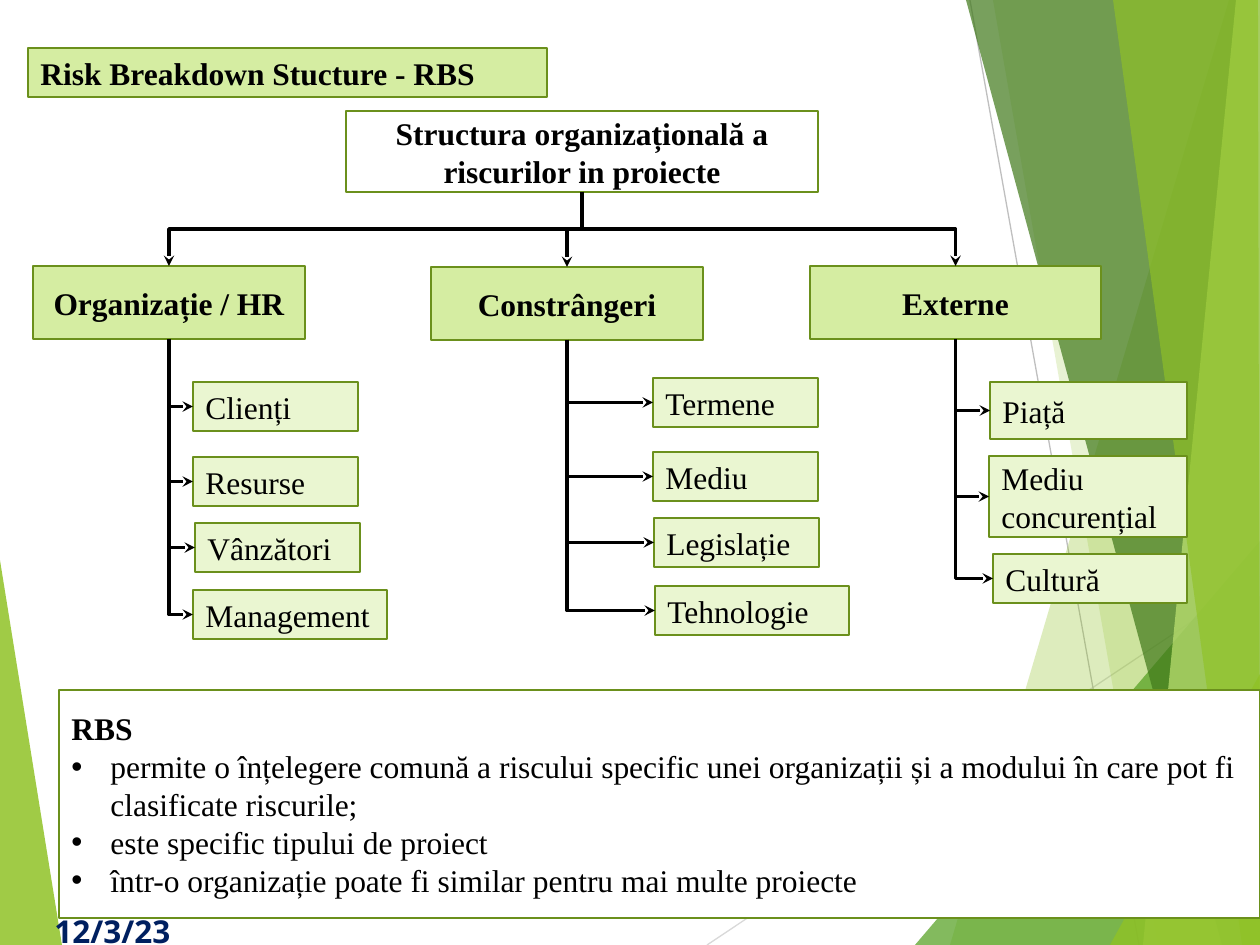
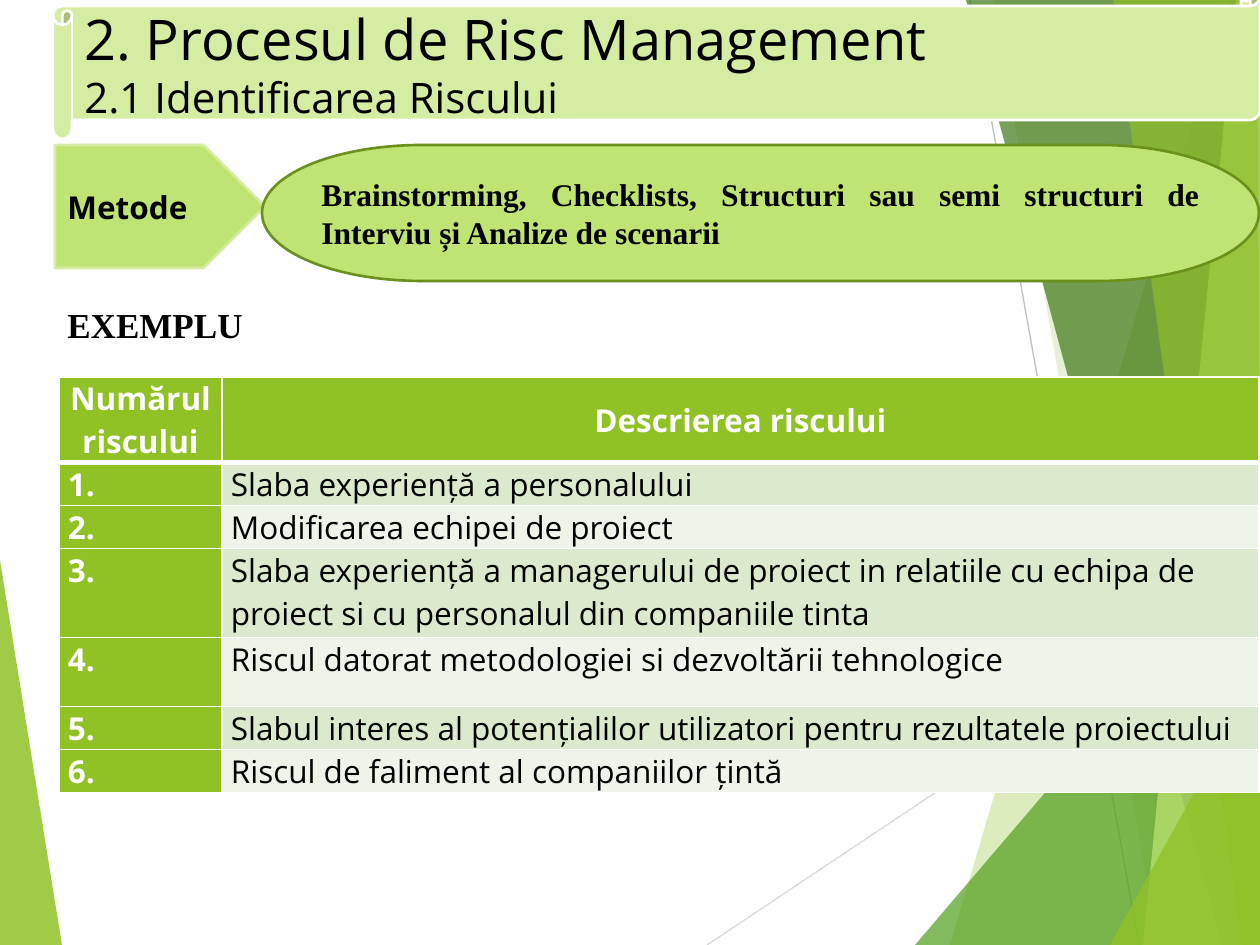
from lxml import etree
from pptx import Presentation
from pptx import util as u
from pptx.dml.color import RGBColor
from pptx.enum import shapes, text
from pptx.oxml import ns

PX = 914400 / 126
SERIF, SANS = "Times New Roman", "Open Sans"
BLACK = RGBColor(0x00, 0x00, 0x00)
WHITE = RGBColor(0xFF, 0xFF, 0xFF)
NAVY = RGBColor(0x00, 0x20, 0x60)
GREEN = RGBColor(0x90, 0xC2, 0x26)
LEAF = RGBColor(0x54, 0xA0, 0x21)
FOREST = RGBColor(0x3F, 0x78, 0x19)
OLIVE = RGBColor(0x6B, 0x90, 0x1C)
LIME = RGBColor(0xC0, 0xE4, 0x74)
PALE = RGBColor(0xD5, 0xED, 0xA2)
MIST = RGBColor(0xEA, 0xF6, 0xD1)
ROW_DARK = RGBColor(0xDB, 0xE9, 0xCD)
ROW_LIGHT = RGBColor(0xEE, 0xF4, 0xE8)
SILVER = RGBColor(0xD9, 0xD9, 0xD9)
GRAY = RGBColor(0xBF, 0xBF, 0xBF)
LEFT, CENTER, JUSTIFY = text.PP_ALIGN.LEFT, text.PP_ALIGN.CENTER, text.PP_ALIGN.JUSTIFY
PROCESS = shapes.MSO_SHAPE.FLOWCHART_PROCESS


def write(frame, words, font=SERIF, size=18, color=BLACK, bold=False, align=LEFT):
    frame.text = words
    frame.word_wrap = True
    for paragraph in frame.paragraphs:
        paragraph.alignment = align
        for run in paragraph.runs:
            run.font.name = font
            run.font.size = u.Pt(size)
            run.font.bold = bold
            run.font.color.rgb = color


def box(slide, kind, place, fill, line, words, **style):
    shape = slide.shapes.add_shape(kind, *[round(v * PX) for v in place])
    shape.shadow.inherit = False
    shape.fill.solid()
    shape.fill.fore_color.rgb = fill
    if line is None:
        shape.line.fill.background()
    else:
        shape.line.color.rgb = line
        shape.line.width = u.Pt(1.5)
    write(shape.text_frame, words, **style)
    shape.text_frame.vertical_anchor = text.MSO_ANCHOR.MIDDLE
    return shape


prs = Presentation()
prs.slide_width = round(1260 * PX)
prs.slide_height = round(945 * PX)
breakdown, process = [prs.slides.add_slide(prs.slide_layouts[6]) for _ in range(2)]

rays = [((707, 945, 1260, 576), SILVER), ((970, 0, 1139, 945), GRAY)]
facets = [
    ([(0, 560), (62, 945), (0, 945)], GREEN, 85),
    ([(1229, 0), (950, 945), (1260, 945), (1260, 0)], GREEN, 30),
    ([(993, 0), (1158, 945), (1260, 945), (1260, 0)], GREEN, 20),
    ([(915, 945), (1260, 541), (1260, 945)], LEAF, 72),
    ([(966, 0), (1222, 945), (1260, 945), (1260, 0)], FOREST, 70),
    ([(1236, 0), (1143, 945), (1260, 945), (1260, 0)], LIME, 70),
    ([(1113, 0), (1242, 945), (1260, 945), (1258, 0)], GREEN, 65),
    ([(1110, 945), (1260, 674), (1260, 945)], GREEN, 80),
]
for slide in (breakdown, process):
    for ends, color in rays:
        ray = slide.shapes.add_connector(
            shapes.MSO_CONNECTOR.STRAIGHT, *[round(v * PX) for v in ends])
        ray.line.color.rgb = color
        ray.line.width = u.Pt(0.75)
        etree.SubElement(ray._element.spPr, ns.qn("a:effectLst"))
    for corners, color, opacity in facets:
        outline = slide.shapes.build_freeform(*corners[0], scale=PX)
        outline.add_line_segments(corners[1:], close=True)
        facet = outline.convert_to_shape()
        facet.shadow.inherit = False
        facet.line.fill.background()
        facet.fill.solid()
        facet.fill.fore_color.rgb = color
        tint = facet._element.spPr.find(".//" + ns.qn("a:srgbClr"))
        etree.SubElement(tint, ns.qn("a:alpha"), val=str(opacity * 1000))

box(breakdown, PROCESS, (28, 48, 519, 49), PALE, OLIVE, "Risk Breakdown Stucture - RBS", bold=True)
root = box(breakdown, PROCESS, (346, 111, 472, 81), WHITE, OLIVE,
           "Structura organizațională a riscurilor in proiecte", bold=True, align=CENTER)

branches = [
    ("Organizație / HR", (33, 266, 272, 73), [
        ("Clienți", (193, 382, 165, 49)), ("Resurse", (193, 457, 165, 49)),
        ("Vânzători", (195, 523, 165, 49)), ("Management", (193, 590, 194, 49))]),
    ("Constrângeri", (431, 267, 272, 73), [
        ("Termene", (653, 378, 165, 49)), ("Mediu", (653, 452, 165, 49)),
        ("Legislație", (654, 518, 165, 49)), ("Tehnologie", (655, 586, 194, 49))]),
    ("Externe", (810, 266, 291, 73), [
        ("Piață", (990, 382, 197, 57)), ("Mediu concurențial", (989, 456, 198, 81)),
        ("Cultură", (993, 554, 194, 49))]),
]
links = []
for category, place, risks in branches:
    branch = box(breakdown, PROCESS, place, PALE, OLIVE, category, bold=True, align=CENTER)
    links.append((root, branch, 0, "bentConnector3"))
    for risk, spot in risks:
        leaf = box(breakdown, PROCESS, spot, MIST, OLIVE, risk)
        links.append((branch, leaf, 1, "bentConnector2"))

for parent, child, side, bend in links:
    link = breakdown.shapes.add_connector(shapes.MSO_CONNECTOR.ELBOW, 0, 0, 0, 0)
    link.begin_connect(parent, 2)
    link.end_connect(child, side)
    start_x, start_y = parent.left + parent.width // 2, parent.top + parent.height
    end_x = child.left + (0 if side else child.width // 2)
    end_y = child.top + (child.height // 2 if side else 0)
    link.width, link.height = end_y - start_y, abs(end_x - start_x)
    link.left = (start_x + end_x - link.width) // 2
    link.top = (start_y + end_y - link.height) // 2
    rightward = end_x > start_x
    frame = link._element.spPr.find(ns.qn("a:xfrm"))
    frame.set("rot", "16200000" if rightward else "5400000")
    frame.set("flipH", "1" if rightward else "0")
    frame.set("flipV", "0")
    link._element.spPr.find(ns.qn("a:prstGeom")).set("prst", bend)
    link.line.color.rgb = BLACK
    link.line.width = u.Pt(2)
    etree.SubElement(link.line._get_or_add_ln(), ns.qn("a:tailEnd"), type="stealth")
    etree.SubElement(link._element.spPr, ns.qn("a:effectLst"))

date = breakdown.shapes.add_textbox(*[round(v * PX) for v in (42, 906, 231, 50)])
write(date.text_frame, "12/3/23", font=SANS, color=NAVY, bold=True)

summary = box(breakdown, PROCESS, (59, 690, 1201, 228), WHITE, OLIVE, "\n".join([
    "RBS",
    "permite o înțelegere comună a riscului specific unei organizații și a modului în care pot fi "
    "clasificate riscurile;",
    "este specific tipului de proiect",
    "într-o organizație poate fi similar pentru mai multe proiecte"]))
heading, *benefits = summary.text_frame.paragraphs
heading.runs[0].font.bold = True
for benefit in benefits:
    props = benefit._p.get_or_add_pPr()
    props.set("marL", str(round(39 * PX)))
    props.set("indent", str(round(-39 * PX)))
    etree.SubElement(props, ns.qn("a:buFont"), typeface="Arial")
    etree.SubElement(props, ns.qn("a:buChar"), char="•")

banner = box(process, shapes.MSO_SHAPE.HORIZONTAL_SCROLL, (53, -13, 1207, 152), PALE, WHITE,
             "2. Procesul de Risc Management\n2.1 Identificarea Riscului", font=SANS, size=32)
banner.text_frame.paragraphs[1].runs[0].font.size = u.Pt(24)
box(process, shapes.MSO_SHAPE.PENTAGON, (55, 145, 210, 123), LIME, PALE, "Metode",
    font=SANS, bold=True)
box(process, shapes.MSO_SHAPE.FLOWCHART_TERMINATOR, (262, 145, 997, 136), LIME, OLIVE,
    "Brainstorming, Checklists, Structuri sau semi structuri de Interviu și Analize de scenarii",
    bold=True, align=JUSTIFY)

risk_rows = [
    ("Numărul riscului", "Descrierea riscului", 73),
    ("1.", "Slaba experiență a personalului", 37),
    ("2.", "Modificarea echipei de proiect", 37),
    ("3.", "Slaba experiență a managerului de proiect in relatiile cu echipa de proiect "
           "si cu personalul din companiile tinta", 89),
    ("4.", "Riscul datorat metodologiei si dezvoltării tehnologice", 69),
    ("5.", "Slabul interes al potențialilor utilizatori pentru rezultatele proiectului", 37),
    ("6.", "Riscul de faliment al companiilor țintă", 19),
]
register = process.shapes.add_table(
    len(risk_rows), 2, *[round(v * PX) for v in (59, 377, 1200, 361)]).table
register.horz_banding = False
for column, width in zip(register.columns, (163, 1037)):
    column.width = round(width * PX)
for r, (number, description, height) in enumerate(risk_rows):
    register.rows[r].height = round(height * PX)
    for c, words in enumerate((number, description)):
        cell = register.cell(r, c)
        strong = r == 0 or c == 0
        write(cell.text_frame, words, font=SANS, color=WHITE if strong else BLACK,
              bold=strong, align=CENTER if r == 0 else JUSTIFY if c and r in (2, 5) else LEFT)
        cell.margin_left = cell.margin_right = round(9 * PX)
        cell.margin_top = cell.margin_bottom = 0
        cell.vertical_anchor = text.MSO_ANCHOR.TOP if r else text.MSO_ANCHOR.MIDDLE
        props = cell._tc.get_or_add_tcPr()
        for edge in ("lnL", "lnR", "lnT", "lnB"):
            thick = (r, edge) in ((0, "lnB"), (1, "lnT"))
            border = etree.SubElement(props, ns.qn("a:" + edge), w=str(u.Pt(3 if thick else 1)))
            paint = etree.SubElement(border, ns.qn("a:solidFill"))
            etree.SubElement(paint, ns.qn("a:srgbClr"), val=str(WHITE))
        cell.fill.solid()
        cell.fill.fore_color.rgb = GREEN if strong else ROW_DARK if r % 2 else ROW_LIGHT

example = box(process, shapes.MSO_SHAPE.RECTANGLE, (55, 297, 224, 55), WHITE, None, "EXEMPLU",
              size=20, bold=True)
example.text_frame.vertical_anchor = text.MSO_ANCHOR.TOP

prs.save("out.pptx")
